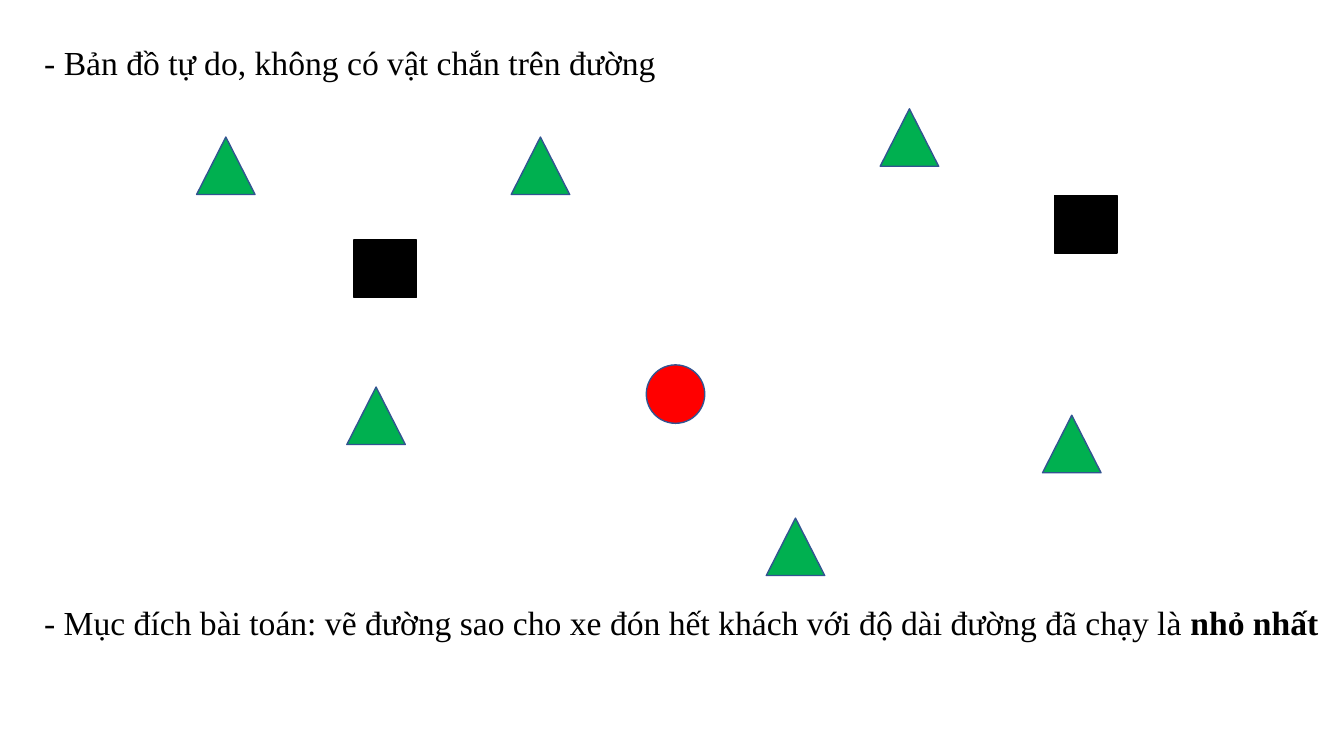
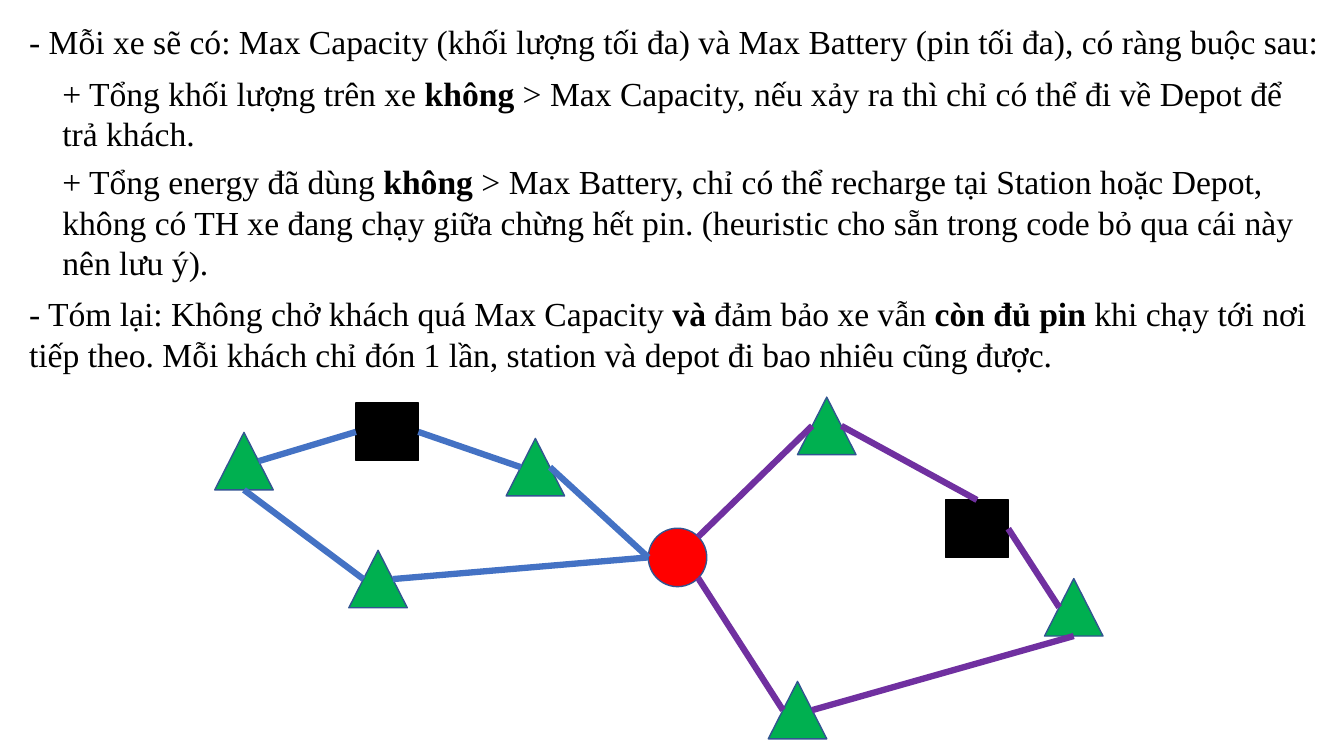
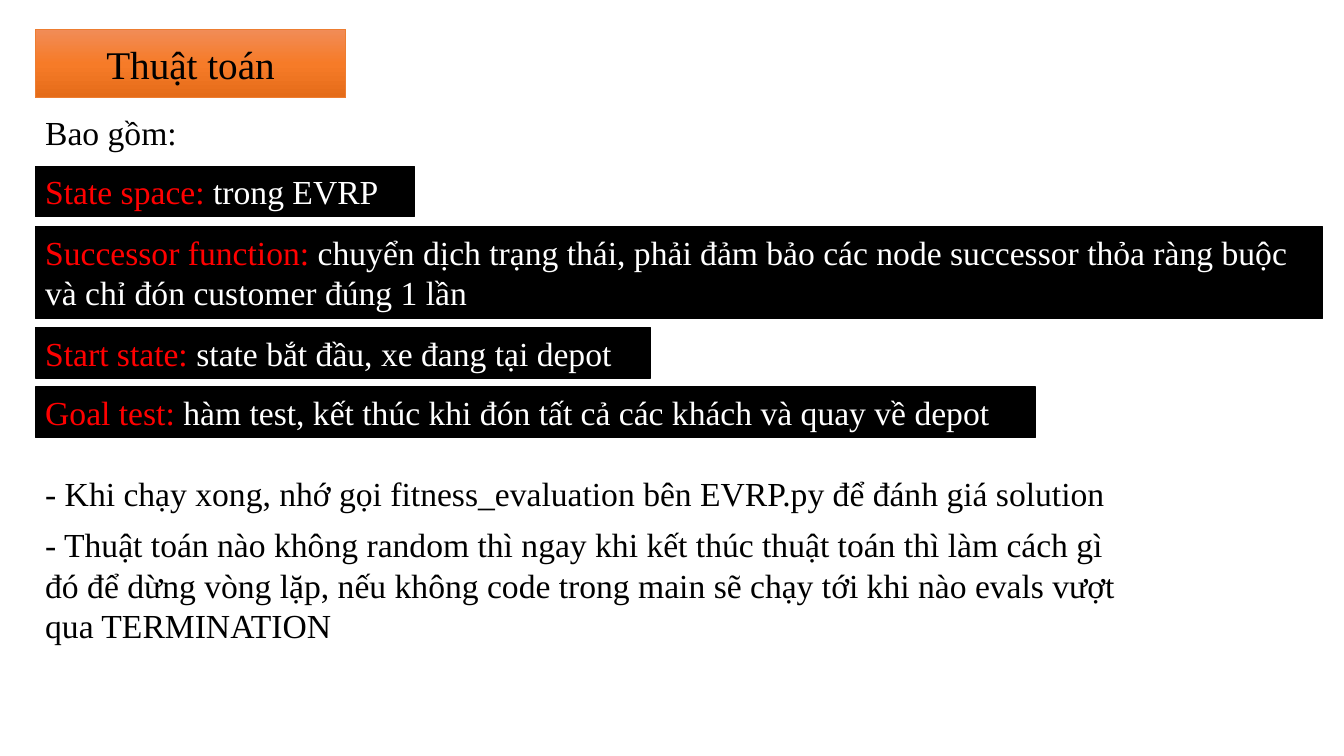
"""Build three slides on the electric vehicle routing problem."""
from copy import deepcopy
from dataclasses import dataclass
from typing import Any, NamedTuple

from pptx import Presentation
from pptx.dml.color import RGBColor
from pptx.enum.shapes import MSO_CONNECTOR as CONN, MSO_SHAPE as SHAPE
from pptx.enum.text import MSO_ANCHOR as ANCHOR, MSO_AUTO_SIZE as AUTO, PP_ALIGN as ALIGN
from pptx.oxml.ns import qn
from pptx.oxml.xmlchemy import OxmlElement
from pptx.util import Inches, Pt

BLACK = RGBColor(0x00, 0x00, 0x00)
WHITE = RGBColor(0xFF, 0xFF, 0xFF)
RED = RGBColor(0xFF, 0x00, 0x00)
GREEN = RGBColor(0x00, 0xB0, 0x50)
NAVY = RGBColor(0x32, 0x54, 0x91)
BLUE = RGBColor(0x44, 0x72, 0xC4)
PURPLE = RGBColor(0x70, 0x30, 0xA0)
ORANGE = RGBColor(0xED, 0x7D, 0x31)
TITLE_STOPS = [
    (0, RGBColor(0xF1, 0x8C, 0x57)),
    (0.5, RGBColor(0xF6, 0x7B, 0x28)),
    (1, RGBColor(0xE5, 0x6C, 0x19)),
]
FONT = "Times New Roman"


class Kind(NamedTuple):
    """Look and connection sites of one sort of map node."""
    shape: SHAPE
    width: float
    height: float
    fill: RGBColor
    line: RGBColor
    sites: dict[str, tuple[float, float]]


SIDES = {"top": (0.5, 0), "left": (0, 0.5), "right": (1, 0.5), "bottom": (0.5, 1)}
CUSTOMER = Kind(SHAPE.ISOSCELES_TRIANGLE, 0.58, 0.57, GREEN, NAVY,
                SIDES | {"left": (0.25, 0.5), "right": (0.75, 0.5)})
DEPOT = Kind(SHAPE.OVAL, 0.58, 0.58, RED, NAVY,
             SIDES | {"upper right": (0.85, 0.15), "lower right": (0.85, 0.85)})
STATION = Kind(SHAPE.RECTANGLE, 0.62, 0.57, BLACK, BLACK, SIDES)


@dataclass
class Node:
    """A customer, station or depot placed on a map."""
    kind: Kind
    left: float
    top: float

    def site(self, name: str) -> tuple[float, float]:
        """Give the slide position of a connection site."""
        fx, fy = self.kind.sites[name]
        return self.left + fx * self.kind.width, self.top + fy * self.kind.height


@dataclass
class Span:
    """A stretch of text in one style."""
    text: str
    bold: bool = False
    color: RGBColor = BLACK
    size: int = 24


@dataclass
class Note:
    """A block of text, on a black band when boxed."""
    left: float
    top: float
    width: float
    height: float
    spans: list[Span]
    wrap: bool = True
    boxed: bool = False


class Leg(NamedTuple):
    """A stretch of route between two node sites."""
    start: str
    start_site: str
    end: str
    end_site: str
    color: RGBColor


def apply(obj: Any, values: dict[str, Any]) -> None:
    """Set each named attribute."""
    for name, value in values.items():
        setattr(obj, name, value)


def add_box(s: Any, shape: SHAPE, box: tuple[float, ...], line: RGBColor, weight: float) -> Any:
    """Add a flat outlined shape."""
    sp = s.shapes.add_shape(shape, *map(Inches, box))
    sp.shadow.inherit = False
    sp.line.color.rgb = line
    sp.line.width = Pt(weight)
    return sp


def fill_solid(sp: Any, color: RGBColor) -> None:
    """Fill a shape with one colour."""
    sp.fill.solid()
    sp.fill.fore_color.rgb = color


def write(sp: Any, spans: list[Span], align: ALIGN, frame: dict[str, Any]) -> None:
    """Write one paragraph of styled spans."""
    tf = sp.text_frame
    apply(tf, frame)
    p = tf.paragraphs[0]
    p.alignment = align
    for span in spans:
        r = p.add_run()
        r.text = span.text
        apply(r.font, {"name": FONT, "size": Pt(span.size), "bold": span.bold})
        r.font.color.rgb = span.color


def add_note(s: Any, note: Note) -> None:
    """Add a text block."""
    box = (note.left, note.top, note.width, note.height)
    if note.boxed:
        sp = add_box(s, SHAPE.RECTANGLE, box, BLACK, 1)
        fill_solid(sp, BLACK)
    else:
        sp = s.shapes.add_textbox(*map(Inches, box))
    write(sp, note.spans, ALIGN.LEFT, {
        "word_wrap": note.wrap,
        "auto_size": AUTO.SHAPE_TO_FIT_TEXT,
        "vertical_anchor": ANCHOR.TOP,
    })


def add_node(s: Any, node: Node) -> None:
    """Add a map node."""
    kind = node.kind
    sp = add_box(s, kind.shape, (node.left, node.top, kind.width, kind.height), kind.line, 1)
    fill_solid(sp, kind.fill)


def add_leg(s: Any, nodes: dict[str, Node], leg: Leg) -> None:
    """Draw a route line between two nodes."""
    ends = nodes[leg.start].site(leg.start_site) + nodes[leg.end].site(leg.end_site)
    line = s.shapes.add_connector(CONN.STRAIGHT, *map(Inches, ends))
    line.line.color.rgb = leg.color
    line.line.width = Pt(4.5)
    line._element.spPr.append(OxmlElement("a:effectLst"))


def add_title(s: Any, text: str) -> None:
    """Add the orange gradient title band."""
    sp = add_box(s, SHAPE.RECTANGLE, (0.35, 0.29, 3.08, 0.68), ORANGE, 0.5)
    sp.fill.gradient()
    sp.fill.gradient_angle = 270
    stops = sp._element.spPr.find(".//" + qn("a:gsLst"))
    stops.append(deepcopy(stops[0]))
    for stop, (position, color) in zip(sp.fill.gradient_stops, TITLE_STOPS):
        stop.position = position
        stop.color.rgb = color
    write(sp, [Span(text, size=28)], ALIGN.CENTER,
          {"word_wrap": True, "vertical_anchor": ANCHOR.MIDDLE})


def term(top: float, width: float, height: float, name: str, meaning: str) -> Note:
    """Make a black band holding a red term and its meaning."""
    spans = [Span(name + " ", color=RED), Span(meaning, color=WHITE)]
    return Note(0.35, top, width, height, spans, boxed=True)


MAP_NODES = [
    *(Node(CUSTOMER, x, y) for x, y in [
        (1.95, 1.36), (3.44, 3.84), (5.07, 1.36), (10.34, 4.12), (7.6, 5.14), (8.73, 1.08)]),
    Node(DEPOT, 6.41, 3.62),
    Node(STATION, 10.46, 1.94),
    Node(STATION, 3.51, 2.38),
]
MAP_NOTES = [
    Note(0.34, 0.37, 6.32, 0.5,
         [Span("- Bản đồ tự do, không có vật chắn trên đường")], wrap=False),
    Note(0.34, 5.92, 12.96, 0.5, [
        Span("- Mục đích bài toán: vẽ đường sao cho xe đón hết khách với độ dài đường đã chạy là "),
        Span("nhỏ nhất", bold=True)], wrap=False),
]

ROUTE_NODES = {
    "west": Node(CUSTOMER, 2.13, 4.29),
    "southwest": Node(CUSTOMER, 3.46, 5.46),
    "northwest": Node(CUSTOMER, 5.02, 4.35),
    "east": Node(CUSTOMER, 10.36, 5.74),
    "south": Node(CUSTOMER, 7.62, 6.76),
    "north": Node(CUSTOMER, 7.91, 3.94),
    "depot": Node(DEPOT, 6.43, 5.24),
    "east station": Node(STATION, 9.38, 4.96),
    "west station": Node(STATION, 3.53, 4),
}
ROUTE_LEGS = [
    Leg("depot", "left", "southwest", "right", BLUE),
    Leg("west", "bottom", "southwest", "left", BLUE),
    Leg("west station", "left", "west", "right", BLUE),
    Leg("northwest", "left", "west station", "right", BLUE),
    Leg("depot", "left", "northwest", "right", BLUE),
    Leg("depot", "upper right", "north", "left", PURPLE),
    Leg("east station", "top", "north", "right", PURPLE),
    Leg("east", "left", "east station", "right", PURPLE),
    Leg("south", "right", "east", "bottom", PURPLE),
    Leg("south", "left", "depot", "lower right", PURPLE),
]
ROUTE_NOTES = [
    Note(0.19, 0.16, 13.01, 0.5, [
        Span("- Mỗi xe sẽ có: Max Capacity (khối lượng tối đa) và Max Battery (pin tối đa), "
             "có ràng buộc sau:")], wrap=False),
    Note(0.52, 0.67, 12.63, 0.91, [
        Span("+ Tổng khối lượng trên xe "),
        Span("không", bold=True),
        Span(" > Max Capacity, nếu xảy ra thì chỉ có thể đi về Depot để trả khách.")]),
    Note(0.52, 1.55, 12.63, 1.31, [
        Span("+ Tổng energy đã dùng "),
        Span("không", bold=True),
        Span(" > Max Battery, chỉ có thể recharge tại Station hoặc Depot, không có TH xe đang "
             "chạy giữa chừng hết pin. (heuristic cho sẵn trong code bỏ qua cái này nên lưu ý).")]),
    Note(0.19, 2.86, 12.96, 0.91, [
        Span("- Tóm lại: Không chở khách quá Max Capacity "),
        Span("và ", bold=True),
        Span("đảm bảo xe vẫn "),
        Span("còn đủ pin ", bold=True),
        Span("khi chạy tới nơi tiếp theo. Mỗi khách chỉ đón 1 lần, station và depot đi "
             "bao nhiêu cũng được.")]),
]

ALGORITHM_NOTES = [
    Note(0.35, 1.06, 11.1, 0.5, [Span("Bao gồm:")]),
    term(1.65, 3.76, 0.5, "State space:", "trong EVRP"),
    term(2.25, 12.77, 0.91, "Successor function:",
         "chuyển dịch trạng thái, phải đảm bảo các node successor thỏa ràng buộc "
         "và chỉ đón customer đúng 1 lần"),
    term(3.25, 6.1, 0.5, "Start state:", "state bắt đầu, xe đang tại depot"),
    term(3.84, 9.92, 0.5, "Goal test:",
         "hàm test, kết thúc khi đón tất cả các khách và quay về depot"),
    Note(0.35, 4.64, 11.1, 0.5, [
        Span("- Khi chạy xong, nhớ gọi fitness_evaluation bên EVRP.py để đánh giá solution")]),
    Note(0.35, 5.15, 11.1, 1.31, [
        Span("- Thuật toán nào không random thì ngay khi kết thúc thuật toán thì làm cách gì đó "
             "để dừng vòng lặp, nếu không code trong main sẽ chạy tới khi nào evals vượt qua "
             "TERMINATION")]),
]


def add_slide(prs: Any, nodes: list[Node], notes: list[Note]) -> Any:
    """Add a blank slide with its nodes and notes."""
    s = prs.slides.add_slide(prs.slide_layouts[6])
    for node in nodes:
        add_node(s, node)
    for note in notes:
        add_note(s, note)
    return s


def main() -> None:
    """Build and save the deck."""
    prs = Presentation()
    apply(prs, {"slide_width": Inches(13.33), "slide_height": Inches(7.5)})
    add_slide(prs, MAP_NODES, MAP_NOTES)
    routes = add_slide(prs, list(ROUTE_NODES.values()), ROUTE_NOTES)
    for leg in ROUTE_LEGS:
        add_leg(routes, ROUTE_NODES, leg)
    add_title(add_slide(prs, [], ALGORITHM_NOTES), "Thuật toán")
    prs.save("out.pptx")


main()
